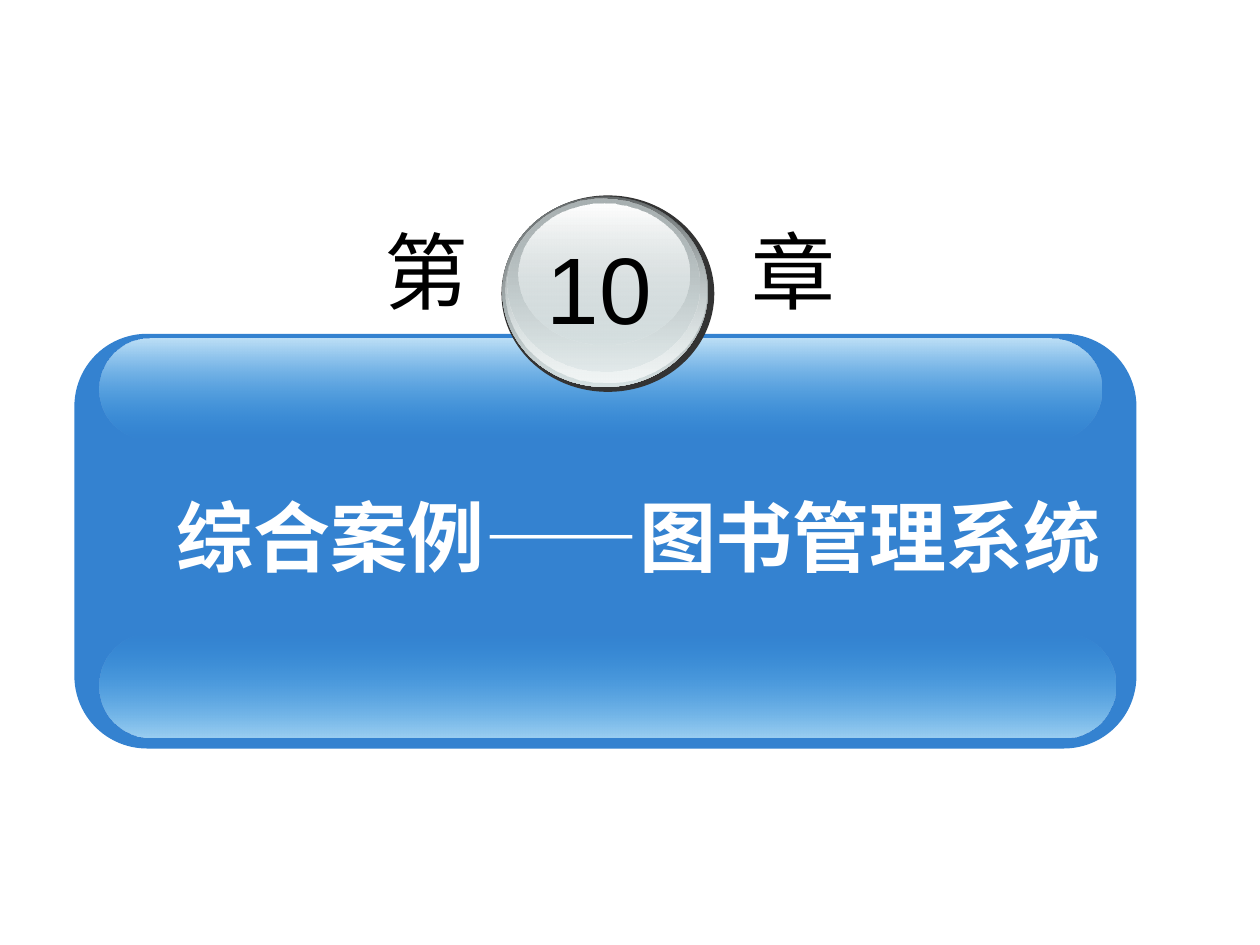
from lxml.etree import SubElement
from pptx import Presentation
from pptx.dml.color import RGBColor
from pptx.enum.shapes import MSO_SHAPE
from pptx.enum.text import MSO_ANCHOR, MSO_AUTO_SIZE, PP_ALIGN
from pptx.oxml.ns import qn
from pptx.util import Cm, Pt

COLORS = {
    "panel": "3482D0", "sky": "3CA1E6", "pale": "9BCFF2", "ice": "BEE0F7",
    "rim": "333333", "steel": "636869", "silver": "D6E1E2",
    "pearl": "F1F5F5", "grey": "AAB2B3", "white": "FFFFFF", "black": "000000",
}
CJK = "Noto Sans CJK SC"


def rgb(name):
    return RGBColor.from_string(COLORS[name])


def add_shape(shapes, kind, box, fill, radius=None):
    """fill is a colour name, or the top and bottom (name, opacity %) stops."""
    sp = shapes.add_shape(kind, *map(Cm, box))
    sp.shadow.inherit = False
    sp.line.fill.background()
    if radius is not None:
        sp.adjustments[0] = radius
    if isinstance(fill, str):
        sp.fill.solid()
        sp.fill.fore_color.rgb = rgb(fill)
        return
    sp.fill.gradient()
    sp.fill.gradient_angle = 270
    for stop, (name, _) in zip(sp.fill.gradient_stops, fill):
        stop.color.rgb = rgb(name)
    for clr, (_, opacity) in zip(list(sp.element.iter(qn("a:srgbClr"))), fill):
        if opacity < 100:
            SubElement(clr, qn("a:alpha")).set("val", str(opacity * 1000))


def write_text(sp, box, text, size, color, font=CJK, bold=False,
               spacing=1.4, anchor=MSO_ANCHOR.MIDDLE, wrap=True):
    sp.left, sp.top, sp.width, sp.height = map(Cm, box)
    tf = sp.text_frame
    tf.word_wrap = wrap
    tf.auto_size = MSO_AUTO_SIZE.SHAPE_TO_FIT_TEXT
    tf.vertical_anchor = anchor
    p = tf.paragraphs[0]
    p.alignment = PP_ALIGN.CENTER
    p.line_spacing = spacing
    r = p.add_run()
    r.text = text
    r.font.size = Pt(size)
    r.font.bold = bold
    r.font.name = font
    r.font.color.rgb = rgb(color)
    SubElement(r.font._element, qn("a:ea")).set("typeface", font)


def add_text(s, box, *args, **kwargs):
    write_text(s.shapes.add_textbox(*map(Cm, box)), box, *args, **kwargs)


def add_panel(s):
    rounded = MSO_SHAPE.ROUNDED_RECTANGLE
    add_shape(s.shapes, rounded, (1.5, 6.73, 21.41, 8.36), "panel", 0.175)
    # Glossy bands along the bottom and the top
    add_shape(s.shapes, rounded, (2.01, 12.78, 20.47, 2.08),
              [("sky", 0), ("pale", 100)], 0.5)
    add_shape(s.shapes, rounded, (2.01, 6.83, 20.19, 2.03),
              [("ice", 100), ("sky", 0)], 0.5)


def add_badge(s):
    layers = [
        ((10.11, 3.94, 4.29, 3.96), "rim"),
        ((10.13, 3.96, 4.14, 3.84), [("steel", 100), ("silver", 100)]),
        ((10.19, 3.99, 4.06, 3.73), [("silver", 0), ("pearl", 100)]),
        ((10.24, 4.01, 3.86, 3.48), [("grey", 100), ("silver", 48)]),
        ((10.46, 4.11, 3.43, 2.84), [("white", 100), ("silver", 38)]),
    ]
    group = s.shapes.add_group_shape()
    for box, fill in layers:
        add_shape(group.shapes, MSO_SHAPE.OVAL, box, fill)
    add_text(s, (10.77, 4.52, 2.62, 2.54), "10", 54, "black", font="Arial",
             spacing=1.0, anchor=MSO_ANCHOR.TOP, wrap=False)


def main():
    prs = Presentation()
    prs.slide_width, prs.slide_height = Cm(25.4), Cm(19.05)
    s = prs.slides.add_slide(prs.slide_layouts[5])

    add_panel(s)
    add_badge(s)

    # Title, brought in front of the panel
    title = s.shapes.title
    title.element.getparent().append(title.element)
    write_text(title, (2.69, 8.99, 20.4, 2.87), "综合案例——图书管理系统",
               44, "white", bold=True)

    # Characters either side of the chapter number
    for left, text in ((6.1, "第"), (13.49, "章")):
        add_text(s, (left, 3.48, 5, 3.1), text, 48, "black")

    prs.save("out.pptx")


if __name__ == "__main__":
    main()
